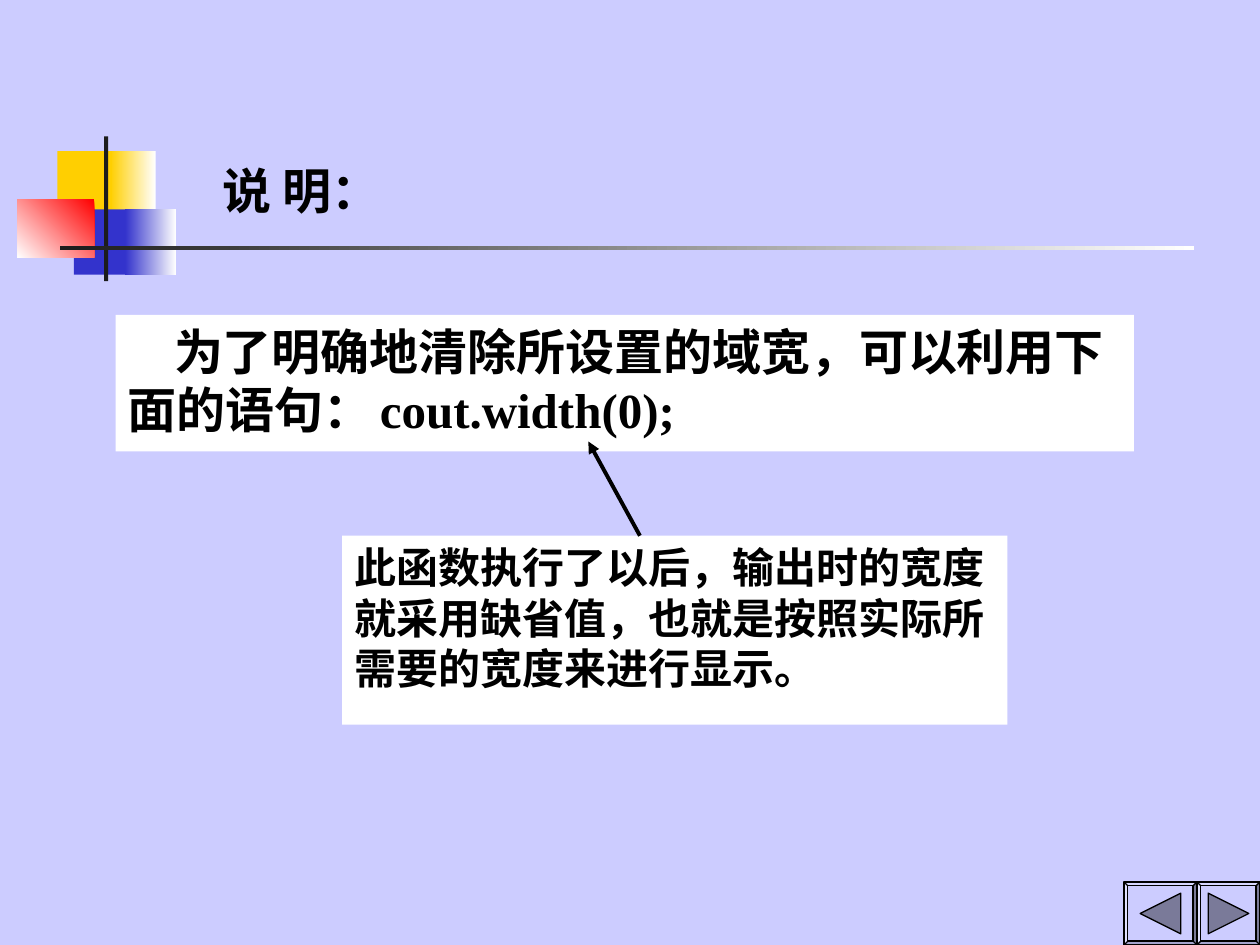
from dataclasses import dataclass

from lxml import etree
from pptx import Presentation
from pptx import util as u
from pptx.dml.color import RGBColor
from pptx.enum import shapes, text
from pptx.oxml.ns import qn


@dataclass(frozen=True)
class Theme:
    """Colours, fonts and type sizes of the slide."""
    background: str = "CCCCFF"
    panel: str = "FFFFFF"
    ink: str = "000000"
    yellow: str = "FFCF01"
    blue: str = "3333CC"
    red: str = "FF0000"
    bar: str = "1C1C1C"
    button_arrow: str = "7A7A99"
    chinese: str = "Noto Sans CJK SC"
    heading: str = "Roboto"
    code: str = "Times New Roman"
    large: int = 28
    small: int = 24


THEME = Theme()


def rgb(value):
    """Turn a hex string into a colour."""
    return RGBColor.from_string(value)


def add_block(slide, box, fill, kind=shapes.MSO_SHAPE.RECTANGLE, line=None):
    """Add a preset shape; a (start, end, angle) fill makes a gradient."""
    shape = slide.shapes.add_shape(kind, *(u.Cm(value) for value in box))
    shape.shadow.inherit = False
    if isinstance(fill, tuple):
        start, end, angle = fill
        shape.fill.gradient()
        shape.fill.gradient_angle = angle
        for stop, colour, position in zip(shape.fill.gradient_stops, (start, end), (0, 1)):
            stop.color.rgb = rgb(colour)
            stop.position = position
    else:
        shape.fill.solid()
        shape.fill.fore_color.rgb = rgb(fill)
    if line:
        shape.line.color.rgb = rgb(line)
        shape.line.width = u.Pt(0.75)
    else:
        shape.line.fill.background()
    return shape


def write_text(shape, *runs, size, before=0, indent=0, tab=None, anchor=text.MSO_ANCHOR.TOP):
    """Write one left-aligned bold paragraph from (words, font) runs."""
    frame = shape.text_frame
    frame.word_wrap = True
    frame.auto_size = text.MSO_AUTO_SIZE.NONE
    frame.vertical_anchor = anchor
    paragraph = frame.paragraphs[0]
    paragraph.alignment = text.PP_ALIGN.LEFT
    paragraph.space_before = u.Pt(before)
    properties = paragraph._p.get_or_add_pPr()
    properties.set("marL", "0")
    properties.set("indent", str(u.Cm(indent)))
    if tab:
        tabs = etree.SubElement(properties, qn("a:tabLst"))
        etree.SubElement(tabs, qn("a:tab"), pos=str(u.Cm(tab)), algn="l")
    for words, font in runs:
        run = paragraph.add_run()
        run.text = words
        run.font.name = font
        run.font.size = u.Pt(size)
        run.font.bold = True
        run.font.color.rgb = rgb(THEME.ink)
        etree.SubElement(run._r.get_or_add_rPr(), qn("a:ea"), typeface=THEME.chinese)


def add_ornament(slide, left, top):
    """Draw the coloured squares and crossing bars."""
    white = THEME.panel
    parts = (
        (0.81, 0.3, 1.22, 1.32, THEME.yellow),
        (1.88, 0.3, 0.91, 1.32, (white, THEME.yellow, 180)),
        (1.14, 1.47, 1.17, 1.32, THEME.blue),
        (2.18, 1.47, 1.02, 1.32, (white, THEME.blue, 180)),
        (0, 1.27, 1.55, 1.17, (THEME.red, white, 225)),
        (1.75, 0, 0.08, 2.92, THEME.bar),
        (0.87, 2.2, 22.86, 0.09, (white, THEME.bar, 180)),
    )
    for x, y, width, height, fill in parts:
        add_block(slide, (left + x, top + y, width, height), fill)


def add_title(slide, left, top, width, height):
    """Place and format the title."""
    title = slide.shapes.title
    title.left, title.top, title.width, title.height = map(u.Cm, (left, top, width, height))
    write_text(title, ("说 明：", THEME.heading), size=THEME.large, anchor=text.MSO_ANCHOR.BOTTOM)


def add_panel(slide, box, *runs, **formatting):
    """Add a white panel with text."""
    write_text(add_block(slide, box, THEME.panel), *runs, **formatting)


def add_pointer(slide, start, end):
    """Draw the arrow from the note to the statement."""
    points = (u.Cm(value) for value in (*start, *end))
    pointer = slide.shapes.add_connector(shapes.MSO_CONNECTOR.STRAIGHT, *points)
    pointer.line.color.rgb = rgb(THEME.ink)
    pointer.line.width = u.Pt(2.25)
    etree.SubElement(pointer.line._get_or_add_ln(), qn("a:tailEnd"), type="triangle")
    etree.SubElement(pointer._element.spPr, qn("a:effectLst"))


def add_button(slide, left, top, width, height, rotation):
    """Draw a bevelled button with a centred triangle."""
    bevel = add_block(slide, (left, top, width, height), THEME.background,
                      shapes.MSO_SHAPE.BEVEL, THEME.ink)
    bevel.adjustments[0] = 0.06
    side = 0.82
    box = (left + (width - side) / 2, top + (height - side) / 2, side, side)
    triangle = add_block(slide, box, THEME.button_arrow,
                         shapes.MSO_SHAPE.ISOSCELES_TRIANGLE, THEME.ink)
    triangle.rotation = rotation


def build_slide(presentation):
    """Build the explanation slide."""
    slide = presentation.slides.add_slide(presentation.slide_layouts[5])
    slide.background.fill.solid()
    slide.background.fill.fore_color.rgb = rgb(THEME.background)
    add_ornament(slide, 0.35, 2.75)
    add_title(slide, 4.23, 2.75, 5.67, 1.8)
    add_panel(slide, (2.33, 6.35, 20.53, 2.75),
              ("为了明确地清除所设置的域宽，可以利用下面的语句：\t", THEME.chinese),
              ("cout.width(0);", THEME.code),
              size=THEME.large, before=7, indent=0.93, tab=5.62)
    add_panel(slide, (6.9, 10.8, 13.41, 3.81),
              ("此函数执行了以后，输出时的宽度就采用缺省值，也就是按照实际所需要的宽度来进行显示。",
               THEME.chinese),
              size=THEME.small, before=6)
    add_pointer(slide, (12.9, 10.8), (11.86, 8.9))
    add_button(slide, 22.66, 17.78, 1.47, 1.27, 270)
    add_button(slide, 24.13, 17.78, 1.27, 1.27, 90)


def main():
    """Create and save the presentation."""
    presentation = Presentation()
    presentation.slide_width, presentation.slide_height = u.Cm(25.4), u.Cm(19.05)
    build_slide(presentation)
    presentation.save("out.pptx")


main()
